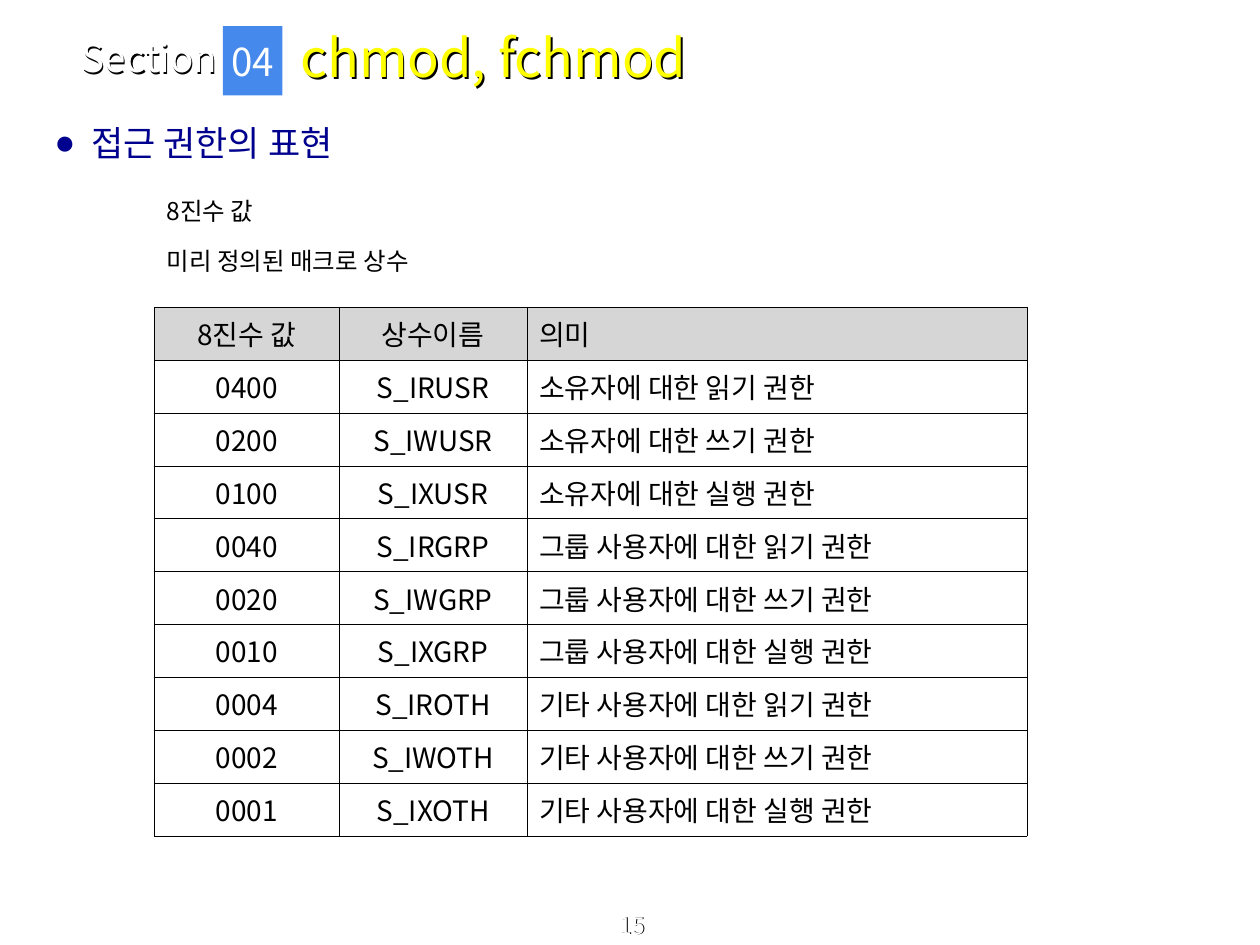
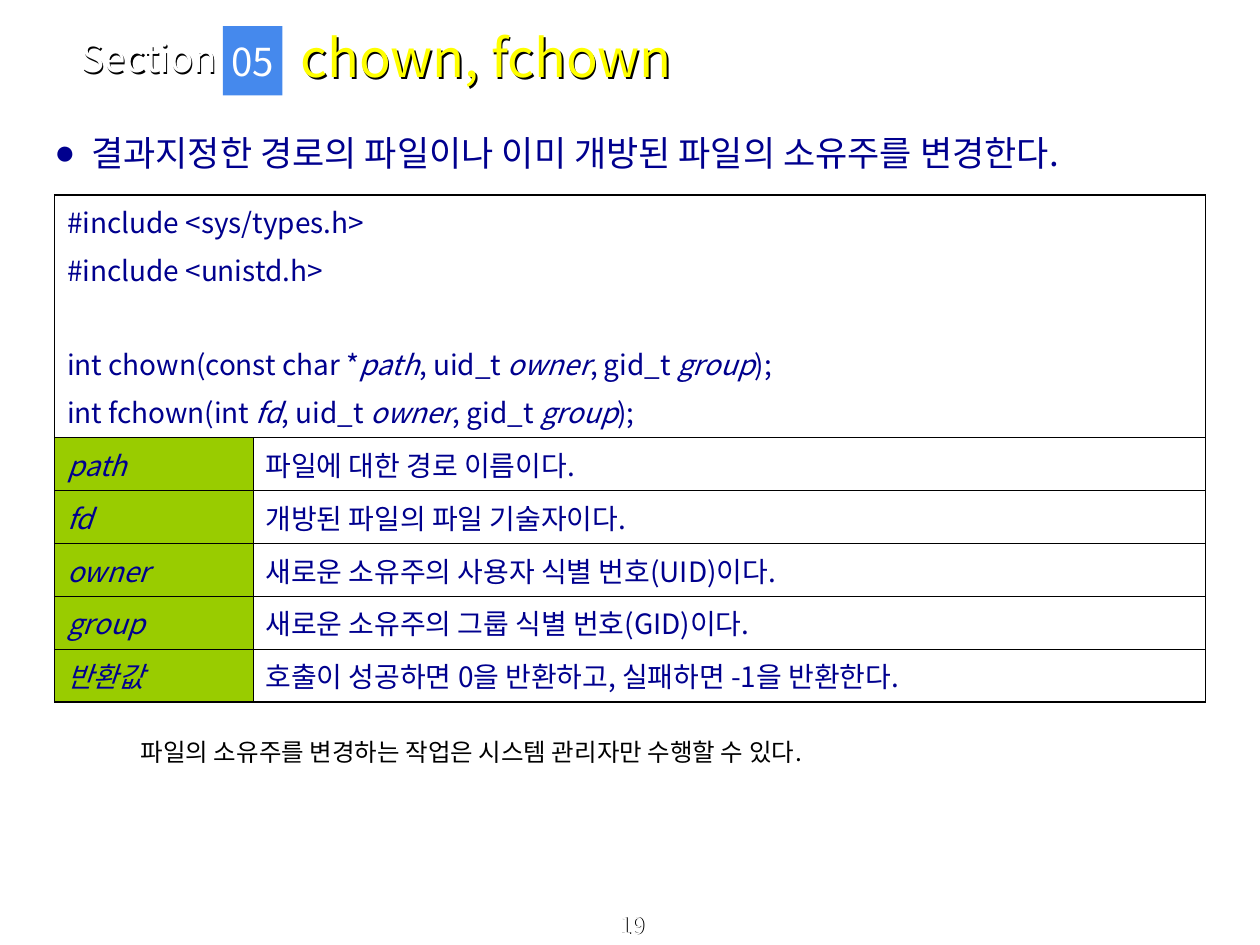
"""Build two lecture slides on file permissions and file ownership."""
from lxml.etree import SubElement
from pptx import Presentation
from pptx.dml.color import RGBColor
from pptx.enum.shapes import MSO_SHAPE
from pptx.enum.text import MSO_ANCHOR, MSO_AUTO_SIZE, PP_ALIGN
from pptx.oxml import parse_xml
from pptx.oxml.ns import nsdecls, qn
from pptx.util import Pt

FONT = "Noto Sans CJK KR"
HUES = {
    "ink": "000000", "navy": "00008E", "white": "FFFFFF", "sun": "FFFF00",
    "blue": "4589ED", "gray": "D6D6D6", "lime": "99CC00",
}
LEFT, MID, JUST = PP_ALIGN.LEFT, PP_ALIGN.CENTER, PP_ALIGN.JUSTIFY
WHO = {"USR": "소유자", "GRP": "그룹 사용자", "OTH": "기타 사용자"}
ACTS = {"R": "읽기", "W": "쓰기", "X": "실행"}
CODE = [
    "#include <sys/types.h>",
    "#include <unistd.h>",
    "int chown(const char *|path|, uid_t |owner|, gid_t |group|);",
    "int fchown(int |fd|, uid_t |owner|, gid_t |group|);",
]
TERMS = {
    "path": "파일에 대한 경로 이름이다.",
    "fd": "개방된 파일의 파일 기술자이다.",
    "owner": "새로운 소유주의 사용자 식별 번호(UID)이다.",
    "group": "새로운 소유주의 그룹 식별 번호(GID)이다.",
    "반환값": "호출이 성공하면 0을 반환하고, 실패하면 -1을 반환한다.",
}


def hue(name):
    """Return the named colour."""
    return RGBColor.from_string(HUES[name])


def put(item, **vals):
    """Set each given attribute on the item."""
    for key, val in vals.items():
        setattr(item, key, val)


def place(shape, box):
    """Move a shape to left, top, width, height in points."""
    put(shape, **dict(zip(("left", "top", "width", "height"), map(Pt, box))))


def style(run, size, color):
    """Give a run its font, size and colour."""
    put(run.font, name=FONT, size=Pt(size))
    run.font.color.rgb = hue(color)
    latin = run.font._element.find(qn("a:latin"))
    latin.addnext(parse_xml(f'<a:ea {nsdecls("a")} typeface="{FONT}"/>'))


def shade(shape, size):
    """Cast a black shadow behind the text, in step with its size."""
    shape.fill.background()
    shape._element.spPr.append(parse_xml(
        f'<a:effectLst {nsdecls("a")}><a:outerShdw dist="{int(Pt(size * 0.05))}" '
        f'dir="2700000" algn="tl" rotWithShape="0">'
        f'<a:srgbClr val="{HUES["ink"]}"/></a:outerShdw></a:effectLst>'))


def write(frame, lines, size, color, **form):
    """Fill a text frame with lines whose parts between bars are italic."""
    for num, line in enumerate(lines):
        para = frame.add_paragraph() if num else frame.paragraphs[0]
        put(para, **form)
        for odd, part in enumerate(line.split("|")):
            if part:
                run = para.add_run()
                run.text = part
                style(run, size, color)
                run.font.italic = odd % 2 == 1


def label(slide, box, text, size, color, anchor, **form):
    """Add a text box with one line."""
    shape = slide.shapes.add_textbox(*map(Pt, box))
    put(shape.text_frame, word_wrap=True, vertical_anchor=anchor)
    write(shape.text_frame, [text], size, color, **form)
    return shape


def badge(slide, text):
    """Add the blue box with the section number."""
    shape = slide.shapes.add_shape(MSO_SHAPE.RECTANGLE, *map(Pt, (127.4, 15, 34, 39.6)))
    shape.shadow.inherit = False
    shape.fill.solid()
    shape.fill.fore_color.rgb = hue("blue")
    shape.line.fill.background()
    put(shape.text_frame, word_wrap=False, vertical_anchor=MSO_ANCHOR.MIDDLE)
    write(shape.text_frame, [text], 22, "white", alignment=MID)


def head(slide, text, top):
    """Add the bulleted heading."""
    shape = label(slide, (24, top, 672, 34), text, 20, "navy", MSO_ANCHOR.TOP,
                  space_before=Pt(5))
    props = shape.text_frame.paragraphs[0]._p.get_or_add_pPr()
    for key, val in {"marL": Pt(21), "indent": -Pt(21)}.items():
        props.set(key, str(int(val)))
    SubElement(props, qn("a:buFont"), typeface="Arial")
    SubElement(props, qn("a:buChar"), char="●")


def notes(slide, box, lines, **form):
    """Fill the body placeholder with plain lines."""
    shape = slide.placeholders[1]
    place(shape, box)
    put(shape.text_frame, auto_size=MSO_AUTO_SIZE.NONE, vertical_anchor=MSO_ANCHOR.TOP)
    write(shape.text_frame, lines, 14, "ink", space_before=Pt(3.5), **form)
    for para in shape.text_frame.paragraphs:
        props = para._p.get_or_add_pPr()
        props.set("marL", "0")
        props.set("indent", "0")
        SubElement(props, qn("a:buNone"))


def start(deck, part, title, page):
    """Add a slide with its title, section mark and page number."""
    slide = deck.slides.add_slide(deck.slide_layouts[1])
    foot = label(slide, (0, 524, 720, 16), f" {page}", 13, "white", MSO_ANCHOR.BOTTOM,
                 alignment=MID)
    mark = label(slide, (39.6, 19.4, 139, 27), "Section", 22, "white", MSO_ANCHOR.MIDDLE)
    name = slide.shapes.title
    place(name, (164.5, 8, 467, 49))
    put(name.text_frame, auto_size=MSO_AUTO_SIZE.NONE, vertical_anchor=MSO_ANCHOR.MIDDLE)
    write(name.text_frame, [title], 30, "sun", alignment=LEFT)
    for shape, size in ((foot, 13), (mark, 22), (name, 30)):
        shade(shape, size)
    badge(slide, part)
    return slide


def edge(cell, widths):
    """Draw the left, right, top and bottom borders of a cell."""
    props = cell._tc.get_or_add_tcPr()
    for side, width in zip("LRTB", widths):
        props.append(parse_xml(
            f'<a:ln{side} {nsdecls("a")} w="{int(Pt(width))}"><a:solidFill>'
            f'<a:srgbClr val="{HUES["ink"]}"/></a:solidFill></a:ln{side}>'))


def paint(cell, color):
    """Fill a cell, or leave it clear."""
    if color:
        cell.fill.solid()
        cell.fill.fore_color.rgb = hue(color)
    else:
        cell.fill.background()


def grid(slide, spot, cols, rows, thin, thick):
    """Add a plain table with thin inner and thick outer borders."""
    size = sum(cols), sum(rows)
    table = slide.shapes.add_table(len(rows), len(cols), *map(Pt, spot + size)).table
    put(table, first_row=False, horz_banding=False)
    for col, width in zip(table.columns, cols):
        col.width = Pt(width)
    for row, height in zip(table.rows, rows):
        row.height = Pt(height)
    if thick != thin:
        table.cell(0, 0).merge(table.cell(0, len(cols) - 1))
    for r in range(len(rows)):
        for c in range(len(cols)):
            cell = table.cell(r, c)
            ends = (c == 0, c + cell.span_width == len(cols), r == 0, r == len(rows) - 1)
            edge(cell, [thick if end else thin for end in ends])
    return table


def modes(slide):
    """Add the table of permission bits."""
    data = [("8진수 값", "상수이름", "의미")]
    for digit, (who, name) in zip((100, 10, 1), WHO.items()):
        for bit, (act, verb) in zip((4, 2, 1), ACTS.items()):
            data.append((f"{bit * digit:04}", f"S_I{act}{who}", f"{name}에 대한 {verb} 권한"))
    table = grid(slide, (88, 175.4), (106, 107, 286), [30.24] * len(data), 0.06, 0.06)
    for r, row in enumerate(data):
        for c, text in enumerate(row):
            cell = table.cell(r, c)
            cell.vertical_anchor = MSO_ANCHOR.MIDDLE
            paint(cell, None if r else "gray")
            write(cell.text_frame, [text], 16, "ink", alignment=JUST if c == 2 else MID)


def usage(slide):
    """Add the table with the call syntax and its terms."""
    rows = [138.5] + [30.24] * len(TERMS)
    table = grid(slide, (31.2, 111.6), (113.4, 544.3), rows, 0.45, 1.08)
    top = table.cell(0, 0)
    paint(top, None)
    write(top.text_frame, CODE, 16, "navy", space_before=Pt(4))
    top.text_frame.paragraphs[2].space_before = Pt(31)
    for r, (term, text) in enumerate(TERMS.items(), 1):
        for c, (line, color) in enumerate(((f"|{term}|", "lime"), (text, None))):
            cell = table.cell(r, c)
            paint(cell, color)
            write(cell.text_frame, [line], 16, "navy", space_before=Pt(4),
                  alignment=JUST if c else LEFT)


def main():
    """Build and save the deck."""
    deck = Presentation()
    put(deck, slide_width=Pt(720), slide_height=Pt(540))

    slide = start(deck, "04", "chmod, fchmod", 15)
    head(slide, "접근 권한의 표현", 65.9)
    notes(slide, (88, 100, 632, 68.4), ["8진수 값", "미리 정의된 매크로 상수"],
          line_spacing=1.5)
    modes(slide)

    slide = start(deck, "05", "chown, fchown", 19)
    head(slide, "결과지정한 경로의 파일이나 이미 개방된 파일의 소유주를 변경한다.", 71.7)
    usage(slide)
    notes(slide, (73.2, 417.6, 598, 39.6),
          ["파일의 소유주를 변경하는 작업은 시스템 관리자만 수행할 수 있다."])

    deck.save("out.pptx")


if __name__ == "__main__":
    main()
